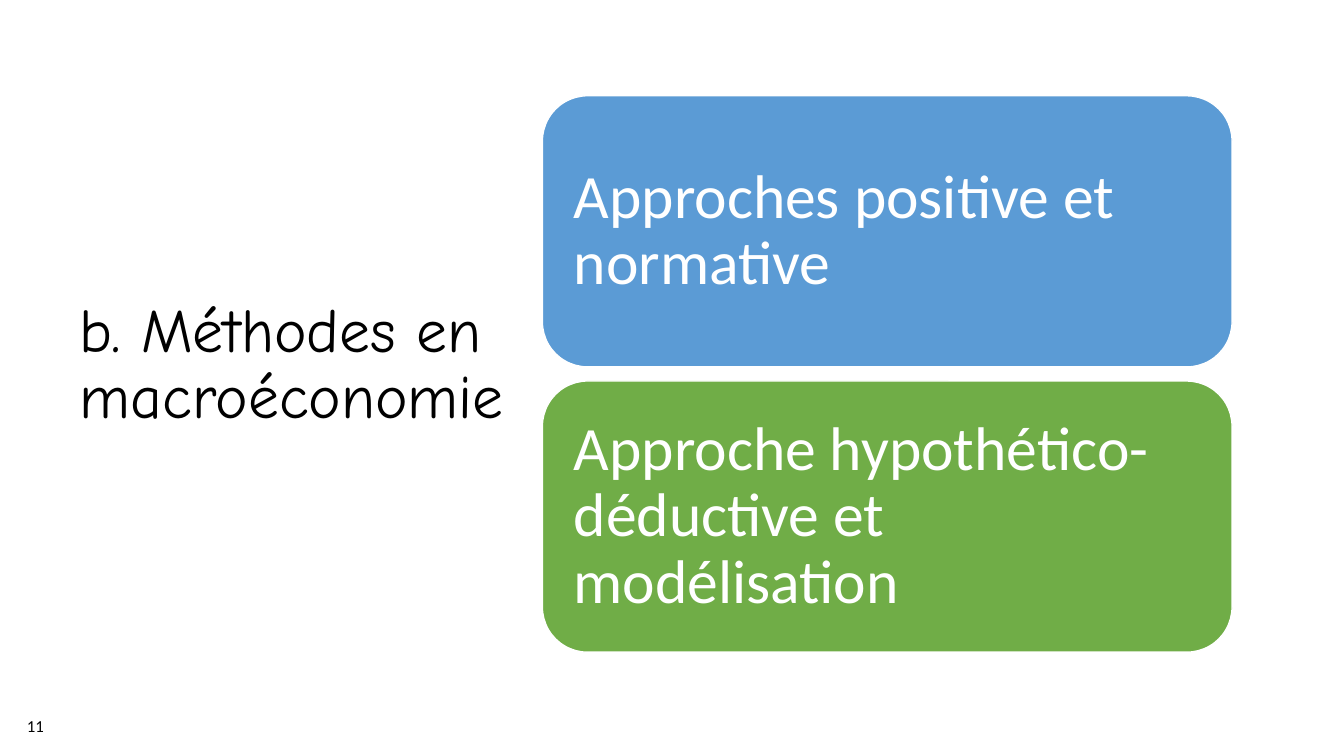
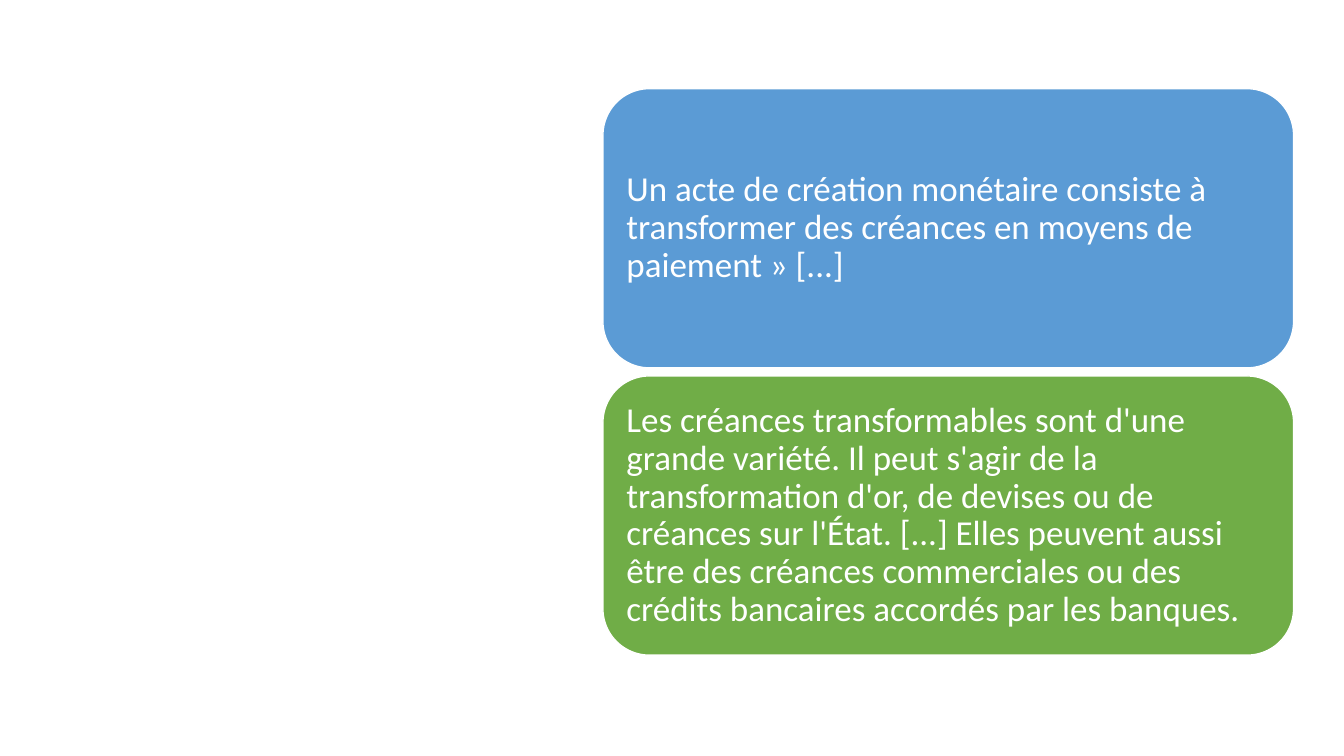
import pptx
import pptx.util
import pptx.dml.color
import pptx.enum.shapes
import pptx.enum.text

Inches = pptx.util.Inches
Pt = pptx.util.Pt
PP_ALIGN = pptx.enum.text.PP_ALIGN

COLORS = {"blue": "5B9BD5", "green": "70AD47", "white": "FFFFFF", "black": "000000"}
CARD_FILLS = ("blue", "green")
BODY_FONT = "Calibri"
TITLE_FONT = "Comic Neue"
TITLE_ONLY, BLANK = 5, 6


def rgb(name):
    return pptx.dml.color.RGBColor.from_string(COLORS[name])


def write(frame, text, size, color, font=BODY_FONT, align=PP_ALIGN.LEFT, spacing=0.9, margin=None):
    frame.text = text
    frame.word_wrap = True
    frame.auto_size = pptx.enum.text.MSO_AUTO_SIZE.NONE
    frame.vertical_anchor = pptx.enum.text.MSO_ANCHOR.MIDDLE
    if margin is not None:
        frame.margin_left = frame.margin_right = Inches(margin)
        frame.margin_top = frame.margin_bottom = Inches(margin)
    paragraph = frame.paragraphs[0]
    paragraph.alignment = align
    paragraph.line_spacing = spacing
    for run in paragraph.runs:
        run.font.name = font
        run.font.size = Pt(size)
        run.font.color.rgb = rgb(color)


def place_title(slide, box, text):
    title = slide.shapes.title
    title.left, title.top, title.width, title.height = map(Inches, box)
    write(title.text_frame, text, 44, "black", font=TITLE_FONT)


def add_page_number(slide, box, number):
    page_number = slide.shapes.add_textbox(*map(Inches, box))
    write(page_number.text_frame, number, 12, "black", align=PP_ALIGN.CENTER, spacing=1.0)


def add_card_stack(slide, box, texts, gap, size, margin):
    left, top, width, height = box
    card_height = (height - gap * (len(texts) - 1)) / len(texts)
    for index, (text, fill) in enumerate(zip(texts, CARD_FILLS)):
        card = slide.shapes.add_shape(
            pptx.enum.shapes.MSO_SHAPE.ROUNDED_RECTANGLE,
            Inches(left), Inches(top + index * (card_height + gap)),
            Inches(width), Inches(card_height))
        card.shadow.inherit = False
        card.fill.solid()
        card.fill.fore_color.rgb = rgb(fill)
        card.line.color.rgb = rgb("white")
        card.line.width = Pt(1)
        write(card.text_frame, text, size, "white", margin=margin)


def build_methods_slide(deck):
    slide = deck.slides.add_slide(deck.slide_layouts[TITLE_ONLY])
    place_title(slide, (0.69, 0.54, 4.59, 6.17), "b. Méthodes en macroéconomie")
    add_page_number(slide, (0, 6.9, 0.7, 0.6), "11")
    add_card_stack(slide, (5.38, 0.95, 6.84, 5.52), (
        "Approches positive et normative",
        "Approche hypothético-déductive et modélisation",
    ), gap=0.14, size=44, margin=0.18)


def build_money_creation_slide(deck):
    slide = deck.slides.add_slide(deck.slide_layouts[BLANK])
    add_card_stack(slide, (5.98, 0.88, 6.85, 5.62), (
        "Un acte de création monétaire consiste à transformer des créances "
        "en moyens de paiement » [...]",
        "Les créances transformables sont d'une grande variété. Il peut s'agir de la "
        "transformation d'or, de devises ou de créances sur l'État. [...] Elles peuvent "
        "aussi être des créances commerciales ou des crédits bancaires accordés par "
        "les banques.",
    ), gap=0.08, size=25, margin=0.1)


def main():
    deck = pptx.Presentation()
    deck.slide_width, deck.slide_height = Inches(13.33), Inches(7.5)
    build_methods_slide(deck)
    build_money_creation_slide(deck)
    deck.save("out.pptx")


if __name__ == "__main__":
    main()
